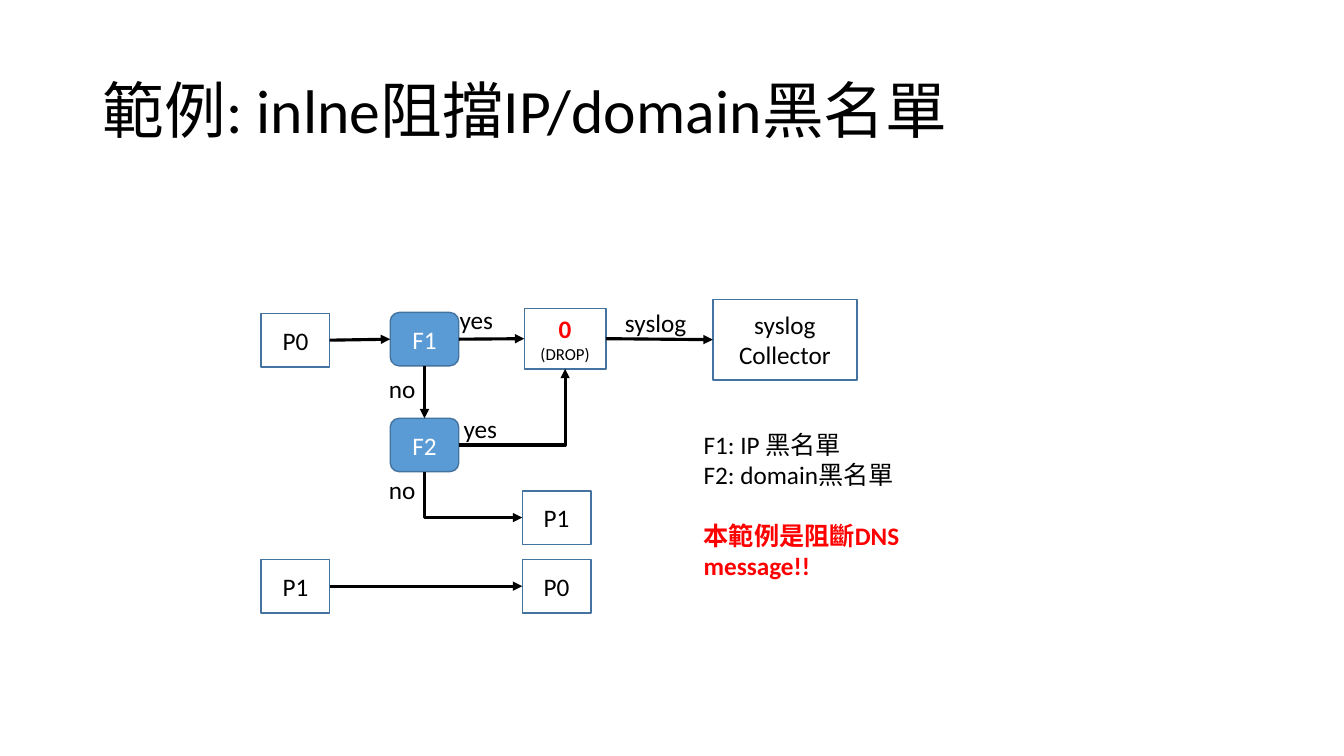
"""Build the slide showing inline blocking of blacklisted IPs and domains."""
import dataclasses
import enum
import typing

import lxml.etree
import pptx
import pptx.dml.color
import pptx.enum.shapes
import pptx.enum.text
import pptx.oxml.ns
import pptx.presentation
import pptx.shapes.autoshape
import pptx.shapes.base
import pptx.slide
import pptx.text.text
import pptx.util

Inches = pptx.util.Inches
Pt = pptx.util.Pt
RGB = pptx.dml.color.RGBColor
ShapeType = pptx.enum.shapes.MSO_SHAPE
ConnectorType = pptx.enum.shapes.MSO_CONNECTOR
Align = pptx.enum.text.PP_ALIGN
Anchor = pptx.enum.text.MSO_ANCHOR
qn = pptx.oxml.ns.qn


@dataclasses.dataclass(frozen=True)
class Theme:
    """Colours, font and type sizes of the slide."""
    font: str = "Calibri"
    ink: RGB = RGB(0, 0, 0)
    paper: RGB = RGB(255, 255, 255)
    filter_fill: RGB = RGB(0x5B, 0x9B, 0xD5)
    outline: RGB = RGB(0x43, 0x73, 0x9E)
    alert: RGB = RGB(255, 0, 0)
    title_size: float = 44
    body_size: float = 18
    small_size: float = 12
    outline_width: float = 1
    arrow_width: float = 2.25


THEME = Theme()


class Site(enum.IntEnum):
    """Connection sites of a rectangular node."""
    TOP = 0
    LEFT = 1
    BOTTOM = 2
    RIGHT = 3


class Line(typing.NamedTuple):
    """One paragraph and its look."""
    text: str
    color: RGB = THEME.ink
    size: float = THEME.body_size
    bold: bool = False
    space_before: float = 0


@dataclasses.dataclass(frozen=True)
class Node:
    """A box of the flow chart."""
    key: str
    lines: tuple[Line, ...]
    left: float
    top: float
    width: float = 0.68
    height: float = 0.53
    is_filter: bool = False


@dataclasses.dataclass(frozen=True)
class Link:
    """An arrow between two nodes."""
    source: str
    source_site: Site
    target: str
    target_site: Site


@dataclasses.dataclass(frozen=True)
class Label:
    """Free text beside the flow chart's arrows and boxes."""
    lines: tuple[Line, ...]
    left: float
    top: float
    width: float
    height: float = 0.4
    wrap: bool = False


PORT_X, FILTER_X, EXIT_X = 2.59, 3.87, 5.18

NODES = (
    Node("inbound", (Line("P0"),), PORT_X, 3.11),
    Node("ip filter", (Line("F1", THEME.paper),), FILTER_X, 3.1, is_filter=True),
    Node("domain filter", (Line("F2", THEME.paper),), FILTER_X, 4.15, is_filter=True),
    Node("drop", (Line("0", THEME.alert, bold=True), Line("(DROP)", size=THEME.small_size)),
         5.2, 3.06, 0.81, 0.6),
    Node("collector", (Line("syslog Collector"),), 7.07, 2.97, 1.43, 0.8),
    Node("outbound", (Line("P1"),), EXIT_X, 4.87),
    Node("return start", (Line("P1"),), PORT_X, 5.55),
    Node("return end", (Line("P0"),), EXIT_X, 5.55),
)

LINKS = (
    Link("inbound", Site.RIGHT, "ip filter", Site.LEFT),
    Link("ip filter", Site.RIGHT, "drop", Site.LEFT),
    Link("ip filter", Site.BOTTOM, "domain filter", Site.TOP),
    Link("domain filter", Site.RIGHT, "drop", Site.BOTTOM),
    Link("domain filter", Site.BOTTOM, "outbound", Site.LEFT),
    Link("drop", Site.RIGHT, "collector", Site.LEFT),
    Link("return start", Site.RIGHT, "return end", Site.LEFT),
)

LABELS = (
    Label((Line("yes"),), 4.46, 2.97, 0.54),
    Label((Line("no"),), 3.76, 3.65, 0.47),
    Label((Line("yes"),), 4.5, 4.05, 0.54),
    Label((Line("no"),), 3.76, 4.66, 0.47),
    Label((Line("syslog"),), 6.1, 3, 0.82),
    Label((Line("F1: IP 黑名單"), Line("F2: domain黑名單"),
           Line("本範例是阻斷DNS message!!", THEME.alert, bold=True, space_before=21.5)),
          6.88, 4.21, 3.25, 1.31, wrap=True),
)


def write_lines(frame: pptx.text.text.TextFrame, lines: tuple[Line, ...], align: Align) -> None:
    """Fill a text frame with formatted paragraphs."""
    frame.text = "\n".join(line.text for line in lines)
    for paragraph, line in zip(frame.paragraphs, lines):
        paragraph.alignment = align
        paragraph.space_before = Pt(line.space_before)
        for run in paragraph.runs:
            run.font.name = THEME.font
            run.font.size = Pt(line.size)
            run.font.bold = line.bold
            run.font.color.rgb = line.color


def place_title(slide: pptx.slide.Slide, text: str) -> None:
    """Move and format the title placeholder."""
    title = slide.shapes.title
    title.left, title.top = Inches(0.92), Inches(0.4)
    title.width, title.height = Inches(11.5), Inches(1.45)
    write_lines(title.text_frame, (Line(text, size=THEME.title_size),), Align.LEFT)
    title.text_frame.auto_size = pptx.enum.text.MSO_AUTO_SIZE.NONE
    title.text_frame.vertical_anchor = Anchor.MIDDLE
    title.text_frame.paragraphs[0].line_spacing = 0.9


def draw_node(slide: pptx.slide.Slide, node: Node) -> pptx.shapes.autoshape.Shape:
    """Draw one box and return it."""
    kind = ShapeType.ROUNDED_RECTANGLE if node.is_filter else ShapeType.FLOWCHART_PROCESS
    box = slide.shapes.add_shape(kind, Inches(node.left), Inches(node.top),
                                 Inches(node.width), Inches(node.height))
    box.shadow.inherit = False
    box.fill.solid()
    box.fill.fore_color.rgb = THEME.filter_fill if node.is_filter else THEME.paper
    box.line.color.rgb = THEME.outline
    box.line.width = Pt(THEME.outline_width)
    write_lines(box.text_frame, node.lines, Align.CENTER)
    box.text_frame.vertical_anchor = Anchor.MIDDLE
    return box


def draw_link(slide: pptx.slide.Slide, link: Link,
              boxes: dict[str, pptx.shapes.autoshape.Shape]) -> None:
    """Draw an arrow, bent once where its ends face different axes."""
    bent = link.source_site % 2 != link.target_site % 2
    arrow = slide.shapes.add_connector(
        ConnectorType.ELBOW if bent else ConnectorType.STRAIGHT, 0, 0, 0, 0)
    arrow.begin_connect(boxes[link.source], int(link.source_site))
    arrow.end_connect(boxes[link.target], int(link.target_site))
    properties = arrow._element.spPr
    if bent:
        properties.find(qn("a:prstGeom")).set("prst", "bentConnector2")
    if bent and link.source_site == Site.BOTTOM:
        run, drop = arrow.end_x - arrow.begin_x, arrow.end_y - arrow.begin_y
        middle_x, middle_y = arrow.begin_x + run // 2, arrow.begin_y + drop // 2
        arrow.begin_x, arrow.end_x = middle_x + drop // 2, middle_x - drop // 2
        arrow.begin_y, arrow.end_y = middle_y - run // 2, middle_y + run // 2
        properties.find(qn("a:xfrm")).set("rot", str(270 * 60000))
    arrow.line.color.rgb = THEME.ink
    arrow.line.width = Pt(THEME.arrow_width)
    lxml.etree.SubElement(properties.find(qn("a:ln")), qn("a:tailEnd"), type="triangle")
    lxml.etree.SubElement(properties, qn("a:effectLst"))


def draw_label(slide: pptx.slide.Slide, label: Label) -> None:
    """Draw one piece of free text."""
    box = slide.shapes.add_textbox(Inches(label.left), Inches(label.top),
                                   Inches(label.width), Inches(label.height))
    box.text_frame.word_wrap = label.wrap
    write_lines(box.text_frame, label.lines, Align.LEFT)


def main() -> None:
    """Assemble and save the presentation."""
    deck = pptx.Presentation()
    deck.slide_width, deck.slide_height = Inches(13.33), Inches(7.5)
    slide = deck.slides.add_slide(deck.slide_layouts.get_by_name("Title Only"))
    place_title(slide, "範例: inlne阻擋IP/domain黑名單")
    boxes = {node.key: draw_node(slide, node) for node in NODES}
    for link in LINKS:
        draw_link(slide, link, boxes)
    for label in LABELS:
        draw_label(slide, label)
    deck.save("out.pptx")


if __name__ == "__main__":
    main()
